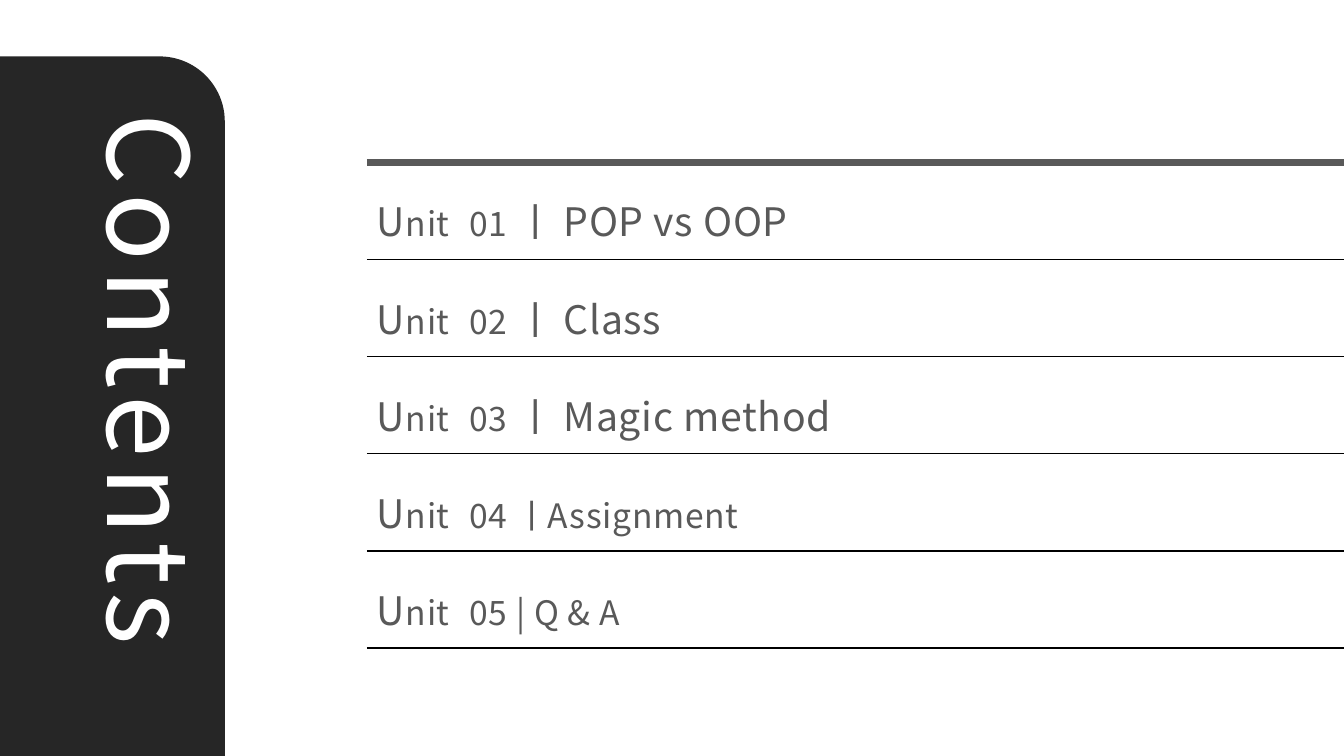
from lxml import etree
from pptx import Presentation
from pptx.dml.color import RGBColor
from pptx.enum.shapes import MSO_CONNECTOR, MSO_SHAPE
from pptx.enum.text import MSO_ANCHOR, MSO_AUTO_SIZE
from pptx.oxml.ns import qn
from pptx.util import Inches, Pt

STRAIGHT = MSO_CONNECTOR.STRAIGHT
ONE_ROUND_CORNER = MSO_SHAPE.ROUND_1_RECTANGLE
MIDDLE = MSO_ANCHOR.MIDDLE
GROW_TO_FIT = MSO_AUTO_SIZE.SHAPE_TO_FIT_TEXT

FONT = "Noto Sans CJK KR"
WIDTH, HEIGHT = 13.33, 7.5
LARGE, SMALL = 28, 24
LETTER_SPACING = 0.5
NUMBER_GAP = 7.25  # extra points that widen the space before the unit number

# Unit number, text after it, size of that text
UNITS = [
    ("01", " ㅣ POP vs OOP", LARGE),
    ("02", " ㅣ Class", LARGE),
    ("03", " ㅣ Magic method", LARGE),
    ("04", " ㅣAssignment", SMALL),
    ("05", " | Q & A", SMALL),
]


def color(hex_string):
    return RGBColor.from_string(hex_string)


def add_run(paragraph, text, size, hex_color, spacing):
    run = paragraph.add_run()
    run.text = text
    run.font.size = Pt(size)
    run.font.name = FONT
    run.font.color.rgb = color(hex_color)
    properties = run.font._element
    properties.set("spc", str(round(spacing * 100)))
    # Hangul characters take the East Asian font
    east_asian = etree.SubElement(properties, qn("a:ea"))
    east_asian.set("typeface", FONT)


def add_rule(slide, left, top, right, hex_color, weight):
    rule = slide.shapes.add_connector(
        STRAIGHT, Inches(left), Inches(top), Inches(right), Inches(top))
    rule.line.color.rgb = color(hex_color)
    rule.line.width = Pt(weight)
    etree.SubElement(rule._element.spPr, qn("a:effectLst"))


def add_title_tab(slide, left, top, width, height):
    # Dark panel
    panel = slide.shapes.add_shape(
        ONE_ROUND_CORNER, Inches(left), Inches(top), Inches(width), Inches(height))
    panel.adjustments[0] = 0.29
    panel.shadow.inherit = False
    panel.fill.solid()
    panel.fill.fore_color.rgb = color("262626")
    panel.line.fill.background()

    # Title turned a quarter, its upper edge on the panel's right side
    length, thickness = 6.97, 1.45
    center_x = left + width - thickness / 2
    center_y = top + 0.47 + length / 2
    title = slide.shapes.add_textbox(
        Inches(center_x - length / 2), Inches(center_y - thickness / 2),
        Inches(length), Inches(thickness))
    title.rotation = 90
    frame = title.text_frame
    frame.word_wrap = True
    frame.auto_size = GROW_TO_FIT
    add_run(frame.paragraphs[0], "Contents", 80, "FFFFFF", 6)


def add_unit(slide, left, top, width, height, number, topic, topic_size):
    box = slide.shapes.add_textbox(
        Inches(left), Inches(top), Inches(width), Inches(height))
    frame = box.text_frame
    frame.word_wrap = True
    frame.vertical_anchor = MIDDLE
    paragraph = frame.paragraphs[0]
    for text, size, spacing in [
        ("U", LARGE, LETTER_SPACING),
        ("nit", SMALL, LETTER_SPACING),
        (" ", LARGE, NUMBER_GAP),
        (number, SMALL, LETTER_SPACING),
        (topic, topic_size, LETTER_SPACING),
    ]:
        add_run(paragraph, text, size, "595959", spacing)


def add_unit_list(slide, left, top, width, height):
    right = left + width
    pitch = height / len(UNITS)
    add_rule(slide, left, top, right, "595959", 5)
    for index, (number, topic, topic_size) in enumerate(UNITS):
        row_top = top + index * pitch
        add_unit(slide, left, row_top + 0.2, 9.43, 0.77, number, topic, topic_size)
        add_rule(slide, left, row_top + pitch, right, "000000", 1)


def main():
    presentation = Presentation()
    presentation.slide_width = Inches(WIDTH)
    presentation.slide_height = Inches(HEIGHT)
    slide = presentation.slides.add_slide(presentation.slide_layouts[6])
    add_title_tab(slide, 0, 0.56, 2.23, HEIGHT - 0.56)
    add_unit_list(slide, 3.64, 1.61, WIDTH - 3.64, 4.82)
    presentation.save("out.pptx")


if __name__ == "__main__":
    main()
